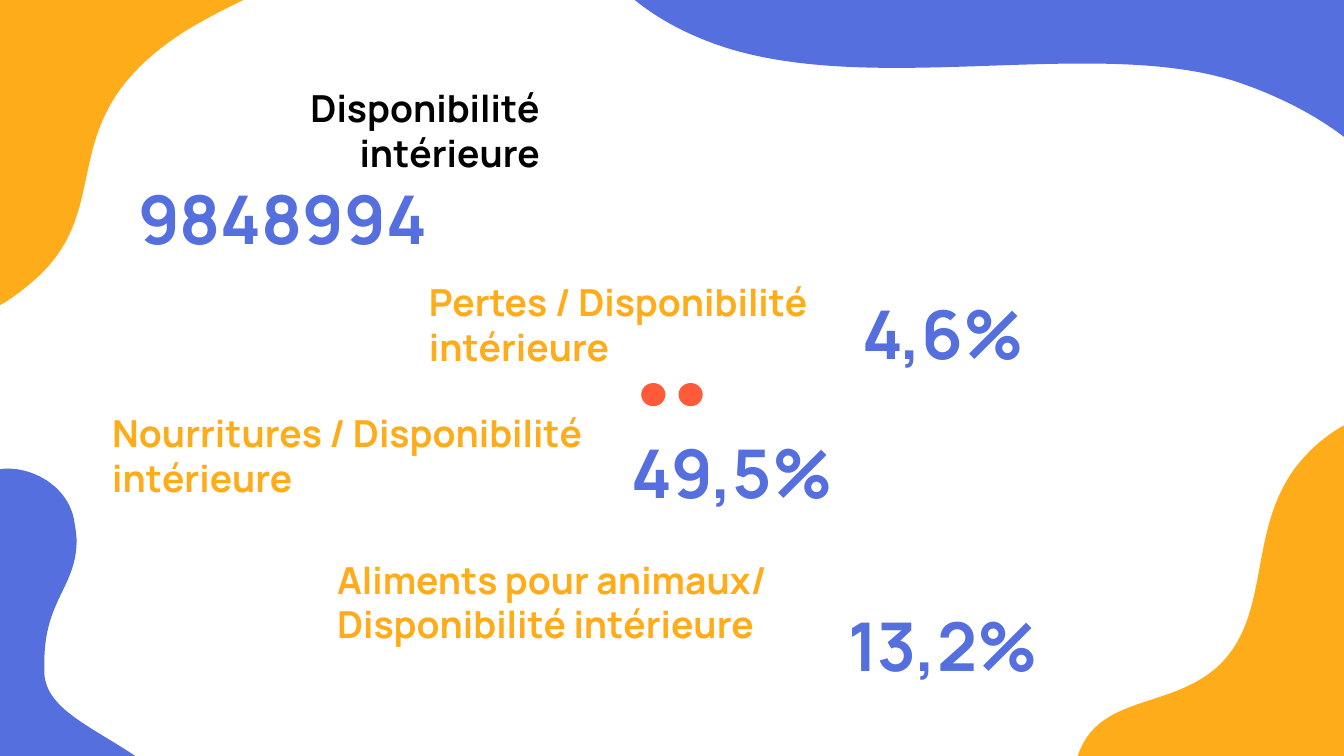
from math import cos, radians, sin

from lxml import etree
from pptx import Presentation
from pptx.dml.color import RGBColor
from pptx.enum.shapes import MSO_SHAPE
from pptx.enum.text import MSO_ANCHOR, PP_ALIGN
from pptx.oxml.ns import qn
from pptx.util import Inches, Pt

LEFT, CENTER, RIGHT = PP_ALIGN.LEFT, PP_ALIGN.CENTER, PP_ALIGN.RIGHT
TOP = MSO_ANCHOR.TOP
OVAL = MSO_SHAPE.OVAL

BLUE = RGBColor(0x55, 0x6F, 0xDE)
ORANGE = RGBColor(0xFF, 0xAC, 0x1A)
CORAL = RGBColor(0xFF, 0x5A, 0x3A)
BLACK = RGBColor(0, 0, 0)

FONT = "Manrope"
LABEL_SIZE, FIGURE_SIZE = 26.67, 48
TEXT_MARGIN = 0.4 / 3

# Each wave: colour, box, rotation, start, then line ends (x, y)
# and Bezier segments (two control points and an end), on the slide
WAVES = [
    (BLUE, (-1.54, 5.89, 5.16, 2.45), 270, (-0.18, 9.69), [
        (2.23, 9.69),
        (2.26, 9.51, 2.27, 9.34, 2.27, 9.19),
        (2.27, 7.36, 0.48, 7.4, 0.44, 6.68),
        (0.44, 6.64, 0.44, 6.6, 0.44, 6.57),
        (0.44, 5.95, 0.76, 5.82, 0.76, 5.36),
        (0.76, 5.31, 0.75, 5.25, 0.74, 5.19),
        (0.68, 4.73, 0.1, 4.53, -0.18, 4.72)]),
    (ORANGE, (-2.33, -0.81, 6.75, 2.91), 147.7, (0.08, 2.98), [
        (0.17, 2.92, 0.26, 2.85, 0.35, 2.77),
        (1.19, 2.02, 0.46, 1.18, 1.85, 0.3),
        (2.07, 0.17, 2.33, 0.03, 2.66, -0.11),
        (2.75, -0.15, 2.83, -0.19, 2.9, -0.23),
        (3.97, -0.91, 3.12, -2.39, 3.12, -2.39),
        (-2.59, 1.22),
        (-1.36, 3.16),
        (-1.36, 3.16, -0.65, 3.44, 0.08, 2.98)]),
    (ORANGE, (10.62, 3.76, 4.15, 4.13), 90, (14.76, 4.05), [
        (14.76, 4.05, 13.64, 3.75, 12.93, 4.54),
        (12.34, 5.19, 12.64, 6.09, 12.08, 6.61),
        (11.52, 7.12, 10.64, 6.81, 10.63, 7.9),
        (14.76, 7.9)]),
    (BLUE, (8.52, -4.95, 2.82, 9.75), 109, (14.17, 2.59), [
        (14.17, 2.59, 14.04, 1.45, 12.35, 0.84),
        (10.96, 0.33, 8.68, 0.98, 7.13, 0.45),
        (5.01, -0.29, 5.55, -2.32, 5.74, -2.87),
        (5.77, -2.95, 5.79, -3, 5.79, -3),
        (15, 0.18)]),
]

# Label, its box, alignment, colour; figure and its box
INDICATORS = [
    ("Disponibilité intérieure", (2.58, 0.71, 2.91, 0.47), RIGHT, BLACK,
     "9848994", (0.98, 1.63, 3.65, 1.21)),
    ("Pertes / Disponibilité intérieure", (4.12, 2.64, 4.59, 0.47), LEFT, ORANGE,
     "4,6%", (7.92, 2.77, 2.87, 0.98)),
    ("Nourritures / Disponibilité intérieure", (0.98, 3.94, 5.24, 0.47), LEFT, ORANGE,
     "49,5%", (5.83, 4.15, 2.87, 0.98)),
    ("Aliments pour animaux/ Disponibilité intérieure", (3.21, 5.39, 5.24, 0.47),
     LEFT, ORANGE, "13,2%", (7.92, 5.86, 2.87, 0.98)),
]


def paint(shape, color):
    shape.shadow.inherit = False
    shape.fill.solid()
    shape.fill.fore_color.rgb = color
    shape.line.fill.background()


def add_text(slide, text, box, *, size, color, align):
    frame = slide.shapes.add_textbox(*map(Inches, box)).text_frame
    frame.word_wrap = True
    frame.vertical_anchor = TOP
    frame.margin_left = frame.margin_right = Inches(TEXT_MARGIN)
    frame.margin_top = frame.margin_bottom = Inches(TEXT_MARGIN)
    paragraph = frame.paragraphs[0]
    paragraph.alignment = align
    run = paragraph.add_run()
    run.text = text
    run.font.name = FONT
    run.font.size = Pt(size)
    run.font.bold = True
    run.font.color.rgb = color


def add_wave(slide, color, box, rotation, start, segments):
    left, top, width, height = box
    center_x, center_y = left + width / 2, top + height / 2
    turn_cos, turn_sin = cos(radians(rotation)), sin(radians(rotation))

    def in_box(x, y):
        """Turn a slide point back into the unrotated box."""
        dx, dy = x - center_x, y - center_y
        return (Inches(width / 2 + dx * turn_cos + dy * turn_sin),
                Inches(height / 2 - dx * turn_sin + dy * turn_cos))

    builder = slide.shapes.build_freeform(*in_box(*start), scale=1.0)
    builder.add_line_segments([in_box(*segment[-2:]) for segment in segments], close=True)
    wave = builder.convert_to_shape()
    wave.left, wave.top, wave.width, wave.height = map(Inches, box)
    wave.rotation = rotation
    paint(wave, color)

    # Redraw the outline with its curves
    outline = next(wave.element.iter(qn("a:path")))
    for child in list(outline):
        outline.remove(child)
    outline.set("w", str(Inches(width)))
    outline.set("h", str(Inches(height)))
    commands = [("a:moveTo", start)]
    commands += [("a:lnTo" if len(segment) == 2 else "a:cubicBezTo", segment)
                 for segment in segments]
    for tag, values in commands:
        command = etree.SubElement(outline, qn(tag))
        for x, y in zip(values[::2], values[1::2]):
            box_x, box_y = in_box(x, y)
            etree.SubElement(command, qn("a:pt"), x=str(box_x), y=str(box_y))
    etree.SubElement(outline, qn("a:close"))


def add_dots(slide, left, top, width=0.24, height=0.23, pitch=0.37, count=2):
    for index in range(count):
        box = (left + index * pitch, top, width, height)
        paint(slide.shapes.add_shape(OVAL, *map(Inches, box)), CORAL)


def add_indicator(slide, label, label_box, align, color, figure, figure_box):
    add_text(slide, label, label_box, size=LABEL_SIZE, color=color, align=align)
    add_text(slide, figure, figure_box, size=FIGURE_SIZE, color=BLUE, align=CENTER)


def main():
    deck = Presentation()
    deck.slide_width, deck.slide_height = Inches(13.33), Inches(7.5)
    slide = deck.slides.add_slide(deck.slide_layouts[6])

    # Corner decoration
    for wave in WAVES:
        add_wave(slide, *wave)

    # Central dots
    add_dots(slide, 6.36, 3.8)

    # Indicators
    for indicator in INDICATORS:
        add_indicator(slide, *indicator)

    deck.save("out.pptx")


if __name__ == "__main__":
    main()
